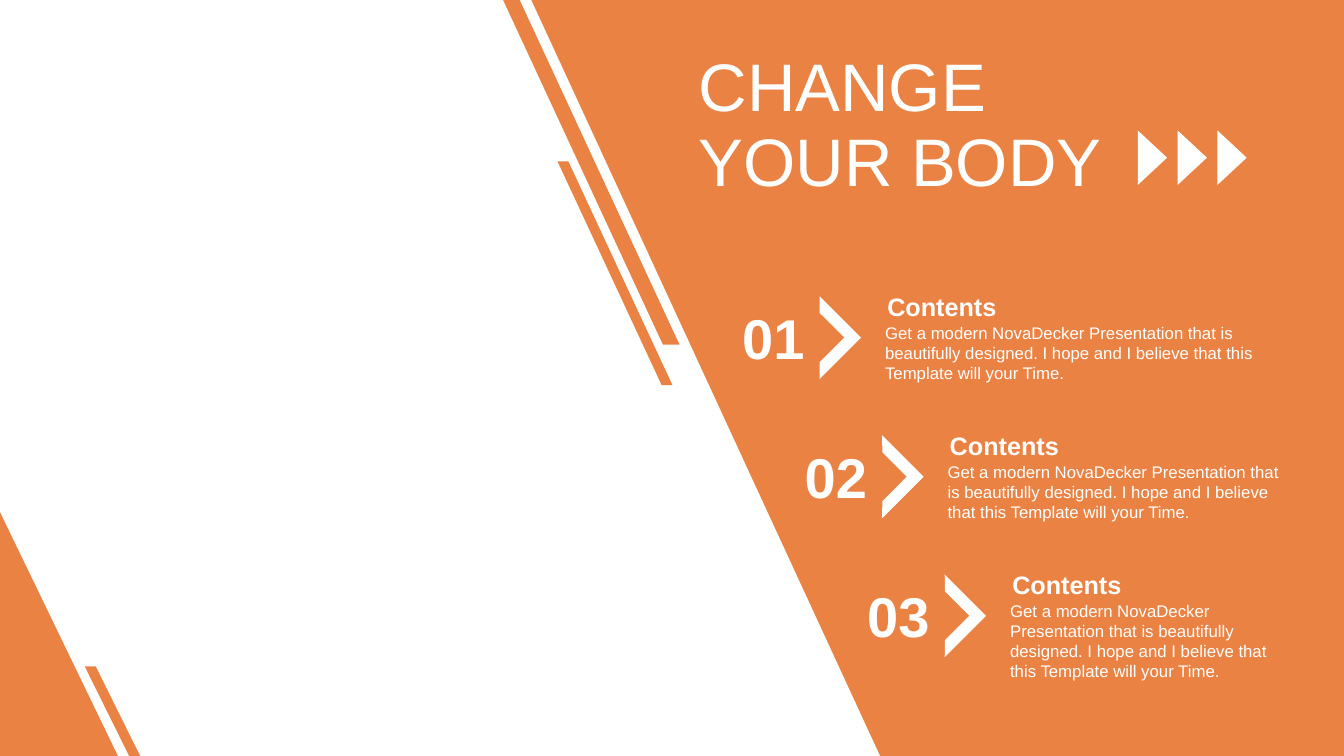
from pptx import Presentation
from pptx.dml.color import RGBColor
from pptx.enum.shapes import MSO_SHAPE
from pptx.enum.text import MSO_AUTO_SIZE, PP_ALIGN
from pptx.util import Inches, Pt

ORANGE, WHITE = "EA8244", "FFFFFF"
WIDTH, HEIGHT = 13.33, 7.5
BODY = ("Get a modern NovaDecker Presentation that is beautifully designed. "
        "I hope and I believe that this Template will your Time.")


def rgb(hex_color):
    return RGBColor.from_string(hex_color)


def paint(sp, color):
    sp.shadow.inherit = False
    sp.fill.solid()
    sp.fill.fore_color.rgb = rgb(color)
    sp.line.fill.background()


def add_preset(s, kind, box, color, adjustments=(), rotation=0):
    sp = s.shapes.add_shape(kind, *map(Inches, box))
    for i, value in enumerate(adjustments):
        sp.adjustments[i] = value
    sp.rotation = rotation
    paint(sp, color)
    return sp


def add_text(s, box, text, size, bold=False, align=PP_ALIGN.LEFT, inset=0.1, wrap=True):
    sp = s.shapes.add_textbox(*map(Inches, box))
    tf = sp.text_frame
    tf.word_wrap = wrap
    tf.auto_size = MSO_AUTO_SIZE.SHAPE_TO_FIT_TEXT
    tf.margin_left = tf.margin_right = Inches(inset)
    tf.text = text
    p = tf.paragraphs[0]
    p.alignment = align
    font = p.runs[0].font
    font.name, font.size, font.bold = "Arial", Pt(size), bold
    font.color.rgb = rgb(WHITE)


def add_background(s):
    """Slanted orange panel, corner triangle and the stripes beside them."""
    fb = s.shapes.build_freeform(Inches(5.27), 0)
    corners = [(WIDTH, 0), (WIDTH, HEIGHT), (8.73, HEIGHT)]
    fb.add_line_segments([(Inches(x), Inches(y)) for x, y in corners], close=True)
    paint(fb.convert_to_shape(), ORANGE)

    add_preset(s, MSO_SHAPE.RIGHT_TRIANGLE, (0, 5.08, 1.17, 2.42), ORANGE)
    stripes = [((4.99, 0, 1.75, 3.42), 0.906),
               ((5.53, 1.6, 1.14, 2.22), 0.906),
               ((0.84, 6.61, 0.55, 0.89), 0.802)]
    for box, slant in stripes:
        sp = add_preset(s, MSO_SHAPE.PARALLELOGRAM, box, ORANGE, [slant])
        sp.element.spPr.get_or_add_xfrm().set("flipH", "1")


def add_title(s, x, y):
    for i, line in enumerate(["CHANGE", "YOUR BODY"]):
        add_text(s, (x, y + 0.74 * i, 4.36, 0.91), line, 48)
    for i in range(3):
        box = (x + 4.33 + 0.395 * i, y + 1.03, 0.54, 0.29)
        add_preset(s, MSO_SHAPE.ISOSCELES_TRIANGLE, box, WHITE, rotation=90)


def add_item(s, x, y, right, number):
    """Number, chevron, heading and text between x and right."""
    text_x = x + 1.44
    width = right - text_x
    add_text(s, (text_x, y + 0.31, width, 0.71), BODY, 12)
    add_text(s, (text_x, y, width, 0.4), "Contents", 18, bold=True, inset=0.12)
    add_text(s, (x, y + 0.12, 0.86, 0.77), number, 40, bold=True,
             align=PP_ALIGN.CENTER, inset=0.12, wrap=False)
    add_preset(s, MSO_SHAPE.HALF_FRAME, (x + 0.6, y + 0.22, 0.58, 0.58), WHITE,
               [0.204, 0.201], rotation=135)


def main():
    prs = Presentation()
    prs.slide_width, prs.slide_height = Inches(WIDTH), Inches(HEIGHT)
    s = prs.slides.add_slide(prs.slide_layouts[6])
    add_background(s)
    for i in range(3):
        add_item(s, 7.24 + 0.62 * i, 2.84 + 1.38 * i, 12.86, f"{i + 1:02d}")
    add_title(s, 6.83, 0.39)
    prs.save("out.pptx")


if __name__ == "__main__":
    main()
